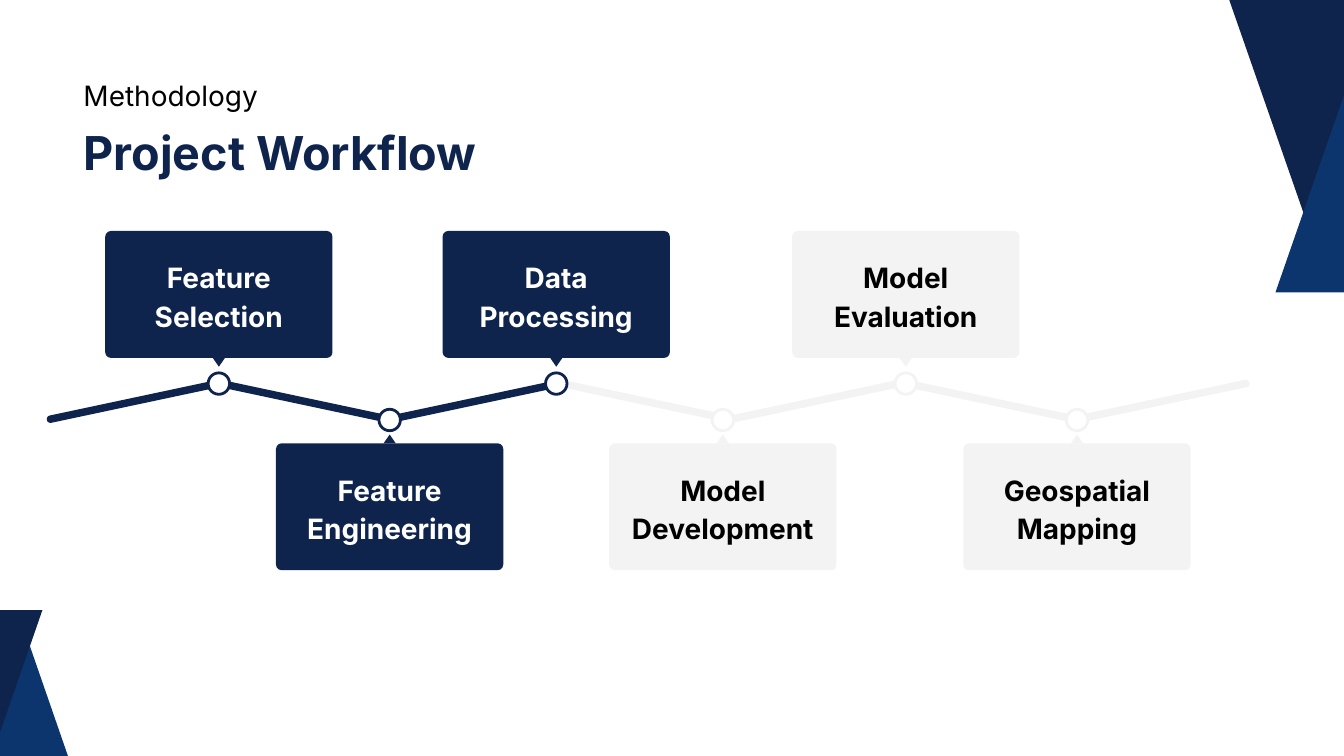
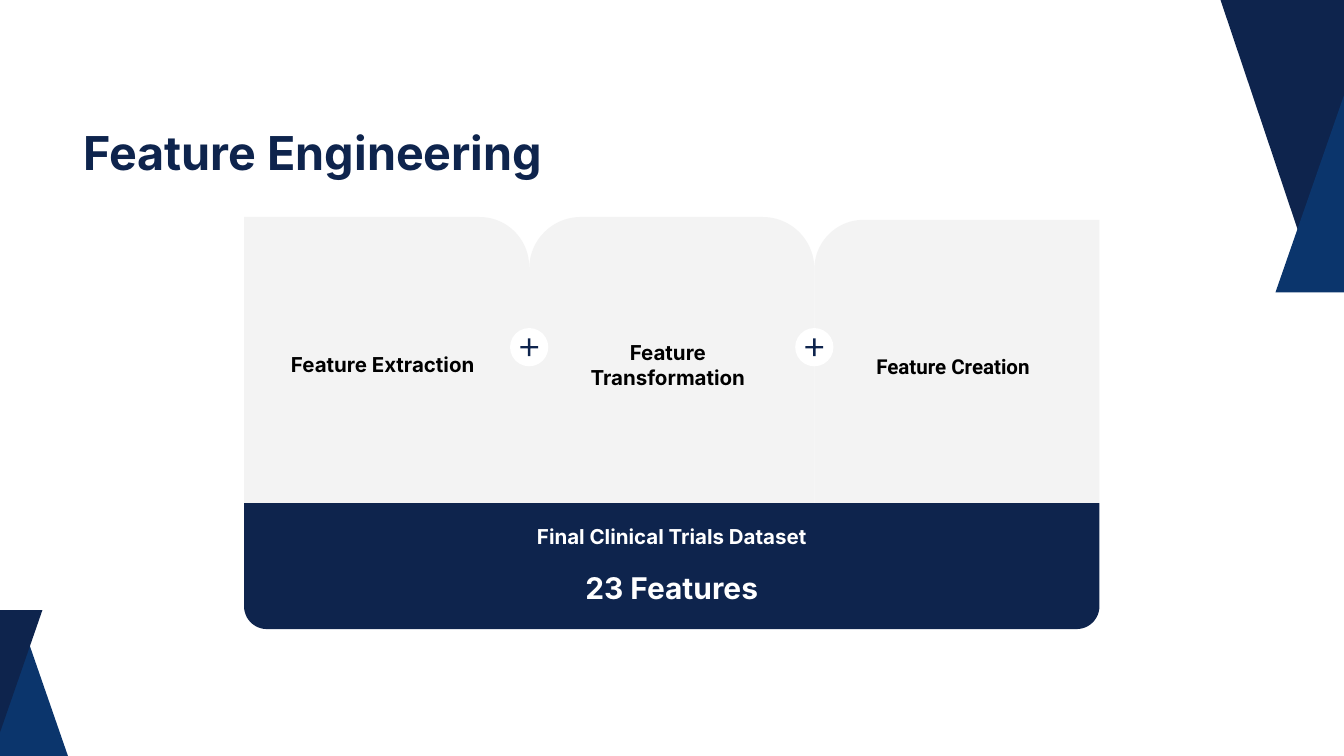
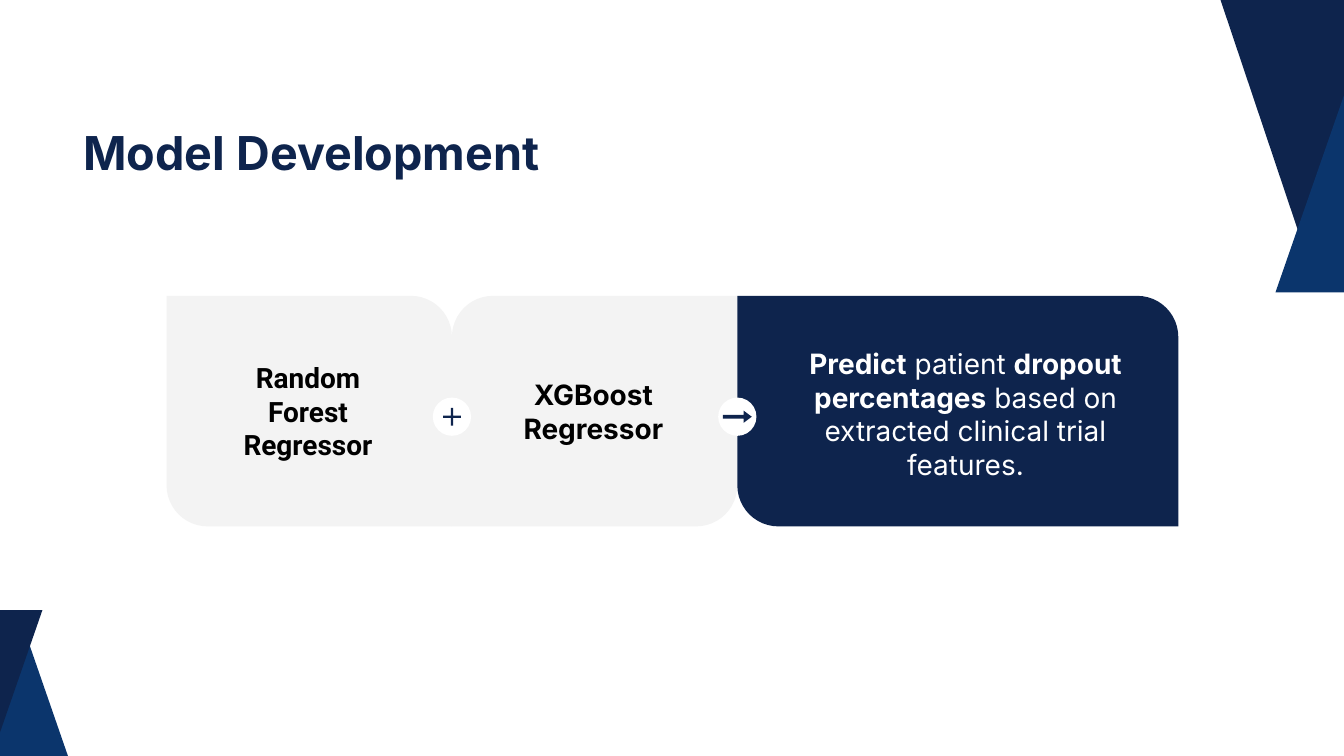
from dataclasses import dataclass

from pptx import Presentation
from pptx.dml.color import RGBColor
from pptx.enum import shapes, text
from pptx.util import Pt

KIND = shapes.MSO_SHAPE


@dataclass(frozen=True)
class Theme:
    navy: str = "0E244D"
    blue: str = "0B356C"
    grey: str = "F3F3F3"
    white: str = "FFFFFF"
    black: str = "000000"
    font: str = "Inter"
    alternate_font: str = "Roboto"
    title_size: int = 50
    total_size: int = 32
    body_size: int = 30
    caption_size: int = 22


@dataclass(frozen=True)
class Box:
    left: float
    top: float
    width: float
    height: float

    def inner(self, left, top, width, height):
        """Return a box whose offset is measured from this one."""
        return Box(self.left + left, self.top + top, width, height)

    def lengths(self):
        return [Pt(value) for value in (self.left, self.top, self.width, self.height)]


THEME = Theme()
CENTER = text.PP_ALIGN.CENTER
MIDDLE = text.MSO_ANCHOR.MIDDLE
TOP = text.MSO_ANCHOR.TOP
BADGE = 41
CAPTION_WIDTH = 229


def assign(target, values):
    for name, value in values.items():
        setattr(target, name, value)


def paint(shape, fill, line=None):
    shape.shadow.inherit = False
    shape.fill.solid()
    shape.fill.fore_color.rgb = RGBColor.from_string(fill)
    if line:
        shape.line.color.rgb = RGBColor.from_string(line)
        shape.line.width = Pt(3)
    else:
        shape.line.fill.background()


def add_shape(slide, kind, box, fill, adjustments=(), rotation=0, line=None):
    shape = slide.shapes.add_shape(kind, *box.lengths())
    for index, value in enumerate(adjustments):
        shape.adjustments[index] = value
    shape.rotation = rotation
    paint(shape, fill, line)
    return shape


def write(shape, runs, size, color, align=CENTER, anchor=MIDDLE, inset=14.4,
          spacing=1.0, font=THEME.font):
    """Fill a shape with one paragraph of (wording, bold) runs."""
    frame = shape.text_frame
    assign(frame, {"word_wrap": True, "auto_size": text.MSO_AUTO_SIZE.NONE,
                   "vertical_anchor": anchor})
    assign(frame, {f"margin_{side}": Pt(inset)
                   for side in ("left", "top", "right", "bottom")})
    paragraph = frame.paragraphs[0]
    assign(paragraph, {"alignment": align, "line_spacing": spacing})
    for wording, bold in runs:
        run = paragraph.add_run()
        run.text = wording
        assign(run.font, {"name": font, "size": Pt(size), "bold": bold})
        run.font.color.rgb = RGBColor.from_string(color)


def add_caption(slide, box, runs, size, color, **options):
    write(slide.shapes.add_textbox(*box.lengths()), runs, size, color, **options)


def add_triangle(slide, color, points):
    corners = [(Pt(x), Pt(y)) for x, y in points]
    builder = slide.shapes.build_freeform(*corners[0], scale=1.0)
    builder.add_line_segments(corners[1:], close=True)
    paint(builder.convert_to_shape(), color)


def add_corners(slide, tip, left):
    """Draw the corner bands; tip and left place the top right navy triangle."""
    add_triangle(slide, THEME.blue, [(31.7, 691.2), (89.3, 857.5), (-25.9, 857.5)])
    add_triangle(slide, THEME.navy, [(0, 784.8), (-46, 653.8), (45.4, 653.8)])
    add_triangle(slide, THEME.navy, [tip, (left, -105.8), (1517, -105.8)])
    add_triangle(slide, THEME.blue, [(1442.2, 95.8), (1517, 313.2), (1366.6, 313.2)])


def start_slide(presentation, title, tip=(1394.6, 258.5), left=1272.2):
    slide = presentation.slides.add_slide(presentation.slide_layouts[5])
    add_corners(slide, tip, left)
    heading = slide.shapes.title
    assign(heading, dict(zip(("left", "top", "width", "height"),
                             Box(89.5, 126.5, 1165.5, 60.5).lengths())))
    write(heading, [(title, True)], THEME.title_size, THEME.navy,
          align=text.PP_ALIGN.LEFT, anchor=TOP, inset=0, spacing=1.1)
    return slide


def add_step(slide, box, center, label, is_upper, is_done):
    """Place one card with its pointer and its node on the path."""
    card_width, card_height, pointer_width, pointer_height, node = 243.5, 136, 13, 9.4, 23
    color = THEME.navy if is_done else THEME.grey
    ink = THEME.white if is_done else THEME.black
    card_top = 0 if is_upper else box.height - card_height
    pointer_top = card_height if is_upper else card_top - pointer_height
    node_middle = 163.5 if is_upper else 202.5
    card = add_shape(slide, KIND.ROUNDED_RECTANGLE,
                     box.inner(center - card_width / 2, card_top, card_width, card_height),
                     color, [0.045])
    write(card, [(label, True)], THEME.body_size, ink, spacing=1.15)
    add_shape(slide, KIND.ISOSCELES_TRIANGLE,
              box.inner(center - pointer_width / 2, pointer_top,
                        pointer_width, pointer_height),
              color, rotation=180 if is_upper else 0)
    add_shape(slide, KIND.OVAL,
              box.inner(center - node / 2, node_middle - node / 2, node, node),
              THEME.white, line=color)


def add_workflow(slide, box):
    done = 3
    segment_lefts = [0, 182, 365, 547.5, 729.5, 917.5, 1101]
    steps = [
        (186.5, "Feature Selection"),
        (369.5, "Feature Engineering"),
        (548, "Data Processing"),
        (726.5, "Model Development"),
        (922.5, "Model Evaluation"),
        (1106, "Geospatial Mapping"),
    ]
    for index, left in enumerate(segment_lefts):
        add_shape(slide, KIND.ROUNDED_RECTANGLE, box.inner(left, 178.5, 192, 8),
                  THEME.navy if index < done else THEME.grey, [0.5],
                  rotation=12 if index % 2 else 348)
    for index, (center, label) in enumerate(steps):
        add_step(slide, box, center, label, index % 2 == 0, index < done)


def add_badge(slide, box, x, y, kind, width, height, adjustments):
    """Center a sign in a white disc at a point of the box."""
    add_shape(slide, KIND.OVAL,
              box.inner(x - BADGE / 2, y - BADGE / 2, BADGE, BADGE), THEME.white)
    add_shape(slide, kind, box.inner(x - width / 2, y - height / 2, width, height),
              THEME.navy, adjustments)


def add_plus(slide, box, x, y):
    add_badge(slide, box, x, y, KIND.MATH_PLUS, 26, 26, [0.099])


def add_feature_panels(slide, box):
    panel_width, panel_height = box.width / 3, 306.5
    panels = [
        ("Feature Extraction", KIND.ROUND_1_RECTANGLE, [0.174], 0, THEME.font),
        ("Feature Transformation", KIND.ROUND_2_SAME_RECTANGLE, [0.181, 0], 0, THEME.font),
        ("Feature Creation", KIND.ROUND_1_RECTANGLE, [0.174], 3, THEME.alternate_font),
    ]
    for index, (label, kind, adjustments, drop, font) in enumerate(panels):
        panel = box.inner(index * panel_width, drop, panel_width, panel_height - drop)
        shape = add_shape(slide, kind, panel, THEME.grey, adjustments)
        if index == len(panels) - 1:
            shape.element.spPr.xfrm.set("flipH", "1")
        add_caption(slide, panel.inner(34, 5, CAPTION_WIDTH, panel.height),
                    [(label, True)], THEME.caption_size, THEME.black, font=font)
    for index in range(1, len(panels)):
        add_plus(slide, box, index * panel_width, 139.5)

    band = box.inner(0, panel_height, box.width, box.height - panel_height)
    add_shape(slide, KIND.ROUND_2_SAME_RECTANGLE, band, THEME.navy, [0, 0.181])
    add_caption(slide, band.inner(145, 8, 626.5, 54.5),
                [("Final Clinical Trials Dataset", True)],
                THEME.caption_size, THEME.white, anchor=TOP)
    add_caption(slide, band.inner(145, 51, 626.5, 61),
                [("23 Features", True)], THEME.total_size, THEME.white,
                anchor=TOP, spacing=1.15)


def add_model_panels(slide, box):
    model_width, badge_middle = 305.75, 129.5
    models = [
        ("Random Forest Regressor", [0, 0.178], THEME.alternate_font),
        ("XGBoost Regressor", [0.178, 0], THEME.font),
    ]
    for index, (label, adjustments, font) in enumerate(models):
        panel = box.inner(index * model_width, 0, model_width, box.height)
        add_shape(slide, KIND.ROUND_2_DIAG_RECTANGLE, panel, THEME.grey, adjustments)
        add_caption(slide, panel.inner(37, 0, CAPTION_WIDTH, panel.height),
                    [(label, True)], THEME.body_size, THEME.black, font=font)

    goal_left = len(models) * model_width
    goal = box.inner(goal_left, 0, box.width - goal_left, box.height)
    add_shape(slide, KIND.ROUND_2_DIAG_RECTANGLE, goal, THEME.navy, [0, 0.178])
    add_caption(slide, goal.inner(54, 39, 381, 175),
                [("Predict", True), (" patient ", False), ("dropout percentages", True),
                 (" based on extracted clinical trial features.", False)],
                THEME.body_size, THEME.white)
    add_plus(slide, box, model_width, badge_middle)
    add_badge(slide, box, goal_left, badge_middle, KIND.RIGHT_ARROW, 31, 13, [0.32, 0.67])


def main():
    presentation = Presentation()
    assign(presentation, {"slide_width": Pt(1440), "slide_height": Pt(810)})

    slide = start_slide(presentation, "Project Workflow", (1398.2, 232.6), 1280.2)
    add_caption(slide, Box(89.5, 80.5, 363, 36), [("Methodology", False)],
                THEME.body_size, THEME.black, align=text.PP_ALIGN.LEFT,
                anchor=TOP, inset=0, spacing=1.1)
    add_workflow(slide, Box(48, 247.5, 1293, 363.5))

    slide = start_slide(presentation, "Feature Engineering")
    add_feature_panels(slide, Box(261.5, 232.5, 916.5, 441.5))

    slide = start_slide(presentation, "Model Development")
    add_model_panels(slide, Box(178.5, 317, 1084, 247))

    presentation.save("out.pptx")


if __name__ == "__main__":
    main()
